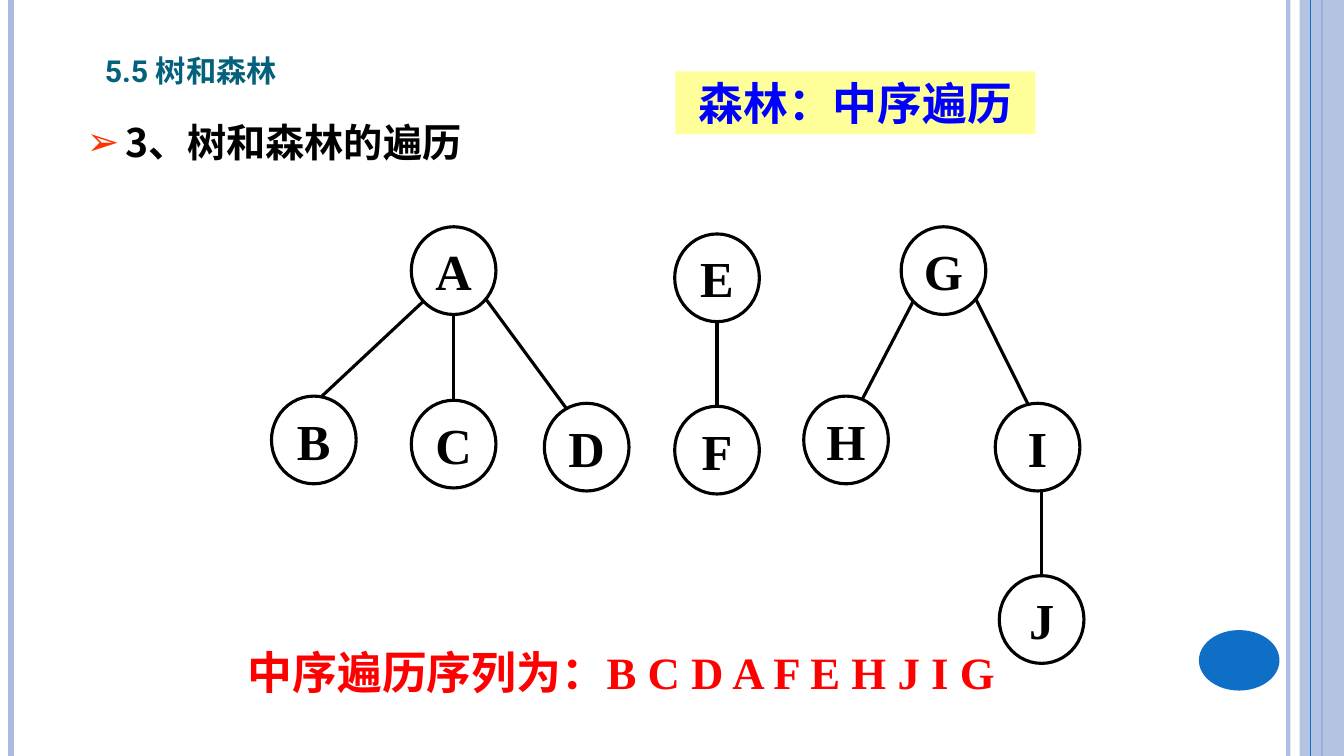
from dataclasses import dataclass
from math import sqrt

from lxml.etree import SubElement
from pptx import Presentation
from pptx.dml.color import RGBColor
from pptx.enum.shapes import MSO_CONNECTOR, MSO_SHAPE
from pptx.enum.text import MSO_ANCHOR, MSO_AUTO_SIZE, PP_ALIGN
from pptx.oxml.ns import qn
from pptx.util import Inches, Pt


@dataclass(frozen=True)
class Theme:
    ink: str = "000000"
    title: str = "04617B"
    bullet: str = "FF3300"
    banner_fill: str = "FFFF99"
    banner_text: str = "0000FF"
    result: str = "FF0000"
    accent: str = "0F6FC6"
    pale: str = "ABBBDF"
    title_size: float = 27
    body_size: float = 28
    banner_size: float = 32
    node_size: float = 36
    edge_width: float = 2.25
    title_font: str = "Roboto"
    banner_font: str = "Arial"
    serif_font: str = "Times New Roman"
    chinese_font: str = "Noto Sans CJK SC"


THEME = Theme()
WIDTH, HEIGHT = Inches(13.33), Inches(7.5)
# The grid has 100 columns and 100 rows.
COLUMN, ROW = WIDTH / 100, HEIGHT / 100
RADIUS_X, RADIUS_Y = 3.15, 5.8

# Centre of each node, as column and row
NODES = {
    "A": (33.75, 35.8), "B": (23.35, 58.2), "C": (33.75, 58.75), "D": (43.65, 59.15),
    "E": (53.35, 36.75), "F": (53.35, 59.55),
    "G": (70.2, 35.8), "H": (62.95, 58.2), "I": (77.2, 59.15), "J": (77.5, 81.95),
}
# Parent, child, columns from parent's centre, columns from child's centre
SLANTED_EDGES = [
    ("A", "B", -2.25, 0.55), ("A", "D", 2.4, -1.5),
    ("G", "H", -2.25, 1.2), ("G", "I", 2.4, -0.7),
]
UPRIGHT_EDGES = [("A", "C"), ("E", "F"), ("I", "J")]


def x(columns):
    return round(columns * COLUMN)


def y(rows):
    return round(rows * ROW)


def place(shape, left, top, width, height):
    shape.left, shape.top = x(left), y(top)
    shape.width, shape.height = x(width), y(height)


def set_alpha(color_format_parent, percent):
    """Make the solid colour found under an XML element partly transparent."""
    color = next(color_format_parent.iter(qn("a:srgbClr")))
    SubElement(color, qn("a:alpha"), val=str(percent * 1000))


def add_run(paragraph, text, font, size, color):
    run = paragraph.add_run()
    run.text = text
    run.font.name, run.font.size, run.font.bold = font, Pt(size), True
    run.font.color.rgb = RGBColor.from_string(color)
    properties = run._r.get_or_add_rPr()
    SubElement(properties, qn("a:ea"), typeface=THEME.chinese_font)
    return properties


def add_line(slide, start, end, color, width, alpha=None):
    line = slide.shapes.add_connector(
        MSO_CONNECTOR.STRAIGHT, x(start[0]), y(start[1]), x(end[0]), y(end[1]))
    line.line.color.rgb = RGBColor.from_string(color)
    line.line.width = Pt(width)
    if alpha:
        set_alpha(line._element.spPr, alpha)
    SubElement(line._element.spPr, qn("a:effectLst"))
    return line


def add_plain_shape(slide, kind, box, fill=None):
    shape = slide.shapes.add_shape(kind, 0, 0, 0, 0)
    place(shape, *box)
    shape.shadow.inherit = False
    shape.line.fill.background()
    if fill:
        shape.fill.solid()
        shape.fill.fore_color.rgb = RGBColor.from_string(fill)
    else:
        shape.fill.background()
    return shape


def add_label(shape, text, font, size, color, wrap=True):
    frame = shape.text_frame
    frame.word_wrap = wrap
    frame.vertical_anchor = MSO_ANCHOR.MIDDLE
    paragraph = frame.paragraphs[0]
    paragraph.alignment = PP_ALIGN.CENTER
    add_run(paragraph, text, font, size, color)


def add_frame(slide):
    """Draw the bands along the slide's sides and the round page badge."""
    def add_stripe(column, color, width, alpha=None):
        add_line(slide, (column, 0), (column, 100), color, width, alpha)

    add_stripe(95.85, THEME.pale, 3, 93)
    add_stripe(0.83, THEME.pale, 4.5)
    add_stripe(98.35, THEME.accent, 1.5)
    band = add_plain_shape(slide, MSO_SHAPE.RECTANGLE, (96.7, 0, 3.3, 100), THEME.pale)
    set_alpha(band._element.spPr, 87)
    add_stripe(97.5, THEME.accent, 0.75)
    add_plain_shape(slide, MSO_SHAPE.OVAL, (89.2, 83.35, 6, 8), THEME.accent)


def fill_title(slide, text):
    title = slide.shapes.title
    place(title, 7.05, 4.55, 22, 8.1)
    frame = title.text_frame
    frame.auto_size = MSO_AUTO_SIZE.NONE
    frame.vertical_anchor = MSO_ANCHOR.BOTTOM
    paragraph = frame.paragraphs[0]
    paragraph.alignment = PP_ALIGN.LEFT
    add_run(paragraph, text, THEME.title_font, THEME.title_size, THEME.title).set("cap", "small")


def fill_body(slide, text):
    body = slide.placeholders[1]
    place(body, 5.7, 13.45, 35.55, 9.6)
    body.text_frame.auto_size = MSO_AUTO_SIZE.NONE
    paragraph = body.text_frame.paragraphs[0]
    paragraph.line_spacing, paragraph.space_before = 1.25, Pt(0)
    properties = paragraph._p.get_or_add_pPr()
    indent = Inches(0.38)
    properties.set("marL", str(indent))
    properties.set("indent", str(-indent))
    SubElement(SubElement(properties, qn("a:buClr")), qn("a:srgbClr"), val=THEME.bullet)
    SubElement(properties, qn("a:buChar"), char="➢")
    add_run(paragraph, text, THEME.chinese_font, THEME.body_size, THEME.ink)


def add_node(slide, name):
    column, row = NODES[name]
    box = (column - RADIUS_X, row - RADIUS_Y, 2 * RADIUS_X, 2 * RADIUS_Y)
    node = add_plain_shape(slide, MSO_SHAPE.OVAL, box)
    node.line.color.rgb = RGBColor.from_string(THEME.ink)
    node.line.width = Pt(THEME.edge_width)
    add_label(node, name, THEME.serif_font, THEME.node_size, THEME.ink, wrap=False)
    return node


def rim_point(name, offset, side):
    """Point on a node's outline; side is 1 for the lower half, -1 for the upper."""
    column, row = NODES[name]
    return column + offset, row + side * RADIUS_Y * sqrt(1 - (offset / RADIUS_X) ** 2)


def add_edge(slide, parent, child, parent_offset, child_offset):
    return add_line(slide, rim_point(parent, parent_offset, 1),
                    rim_point(child, child_offset, -1), THEME.ink, THEME.edge_width)


def add_forest(slide):
    nodes = {name: add_node(slide, name) for name in NODES}
    for edge in SLANTED_EDGES:
        add_edge(slide, *edge)
    for parent, child in UPRIGHT_EDGES:
        offset = NODES[child][0] - NODES[parent][0]
        add_edge(slide, parent, child, offset, 0).end_connect(nodes[child], 0)


def add_result(slide, text):
    box = slide.shapes.add_textbox(0, 0, 0, 0)
    place(box, 17.4, 82.55, 58.5, 10.65)
    add_label(box, text, THEME.serif_font, THEME.banner_size, THEME.result)
    box.text_frame.vertical_anchor = MSO_ANCHOR.TOP
    box.text_frame.auto_size = MSO_AUTO_SIZE.SHAPE_TO_FIT_TEXT
    box.text_frame.paragraphs[0].line_spacing = 1.3


def main():
    presentation = Presentation()
    presentation.slide_width, presentation.slide_height = WIDTH, HEIGHT
    slide = presentation.slides.add_slide(presentation.slide_layouts[1])
    add_frame(slide)
    fill_title(slide, "5.5 树和森林")
    fill_body(slide, "3、树和森林的遍历")
    banner = add_plain_shape(slide, MSO_SHAPE.RECTANGLE, (50.25, 9.45, 26.8, 8.3),
                             THEME.banner_fill)
    add_label(banner, "森林：中序遍历", THEME.banner_font, THEME.banner_size, THEME.banner_text)
    add_forest(slide)
    add_result(slide, "中序遍历序列为：B C D A F E H J I G ")
    presentation.save("out.pptx")


if __name__ == "__main__":
    main()
